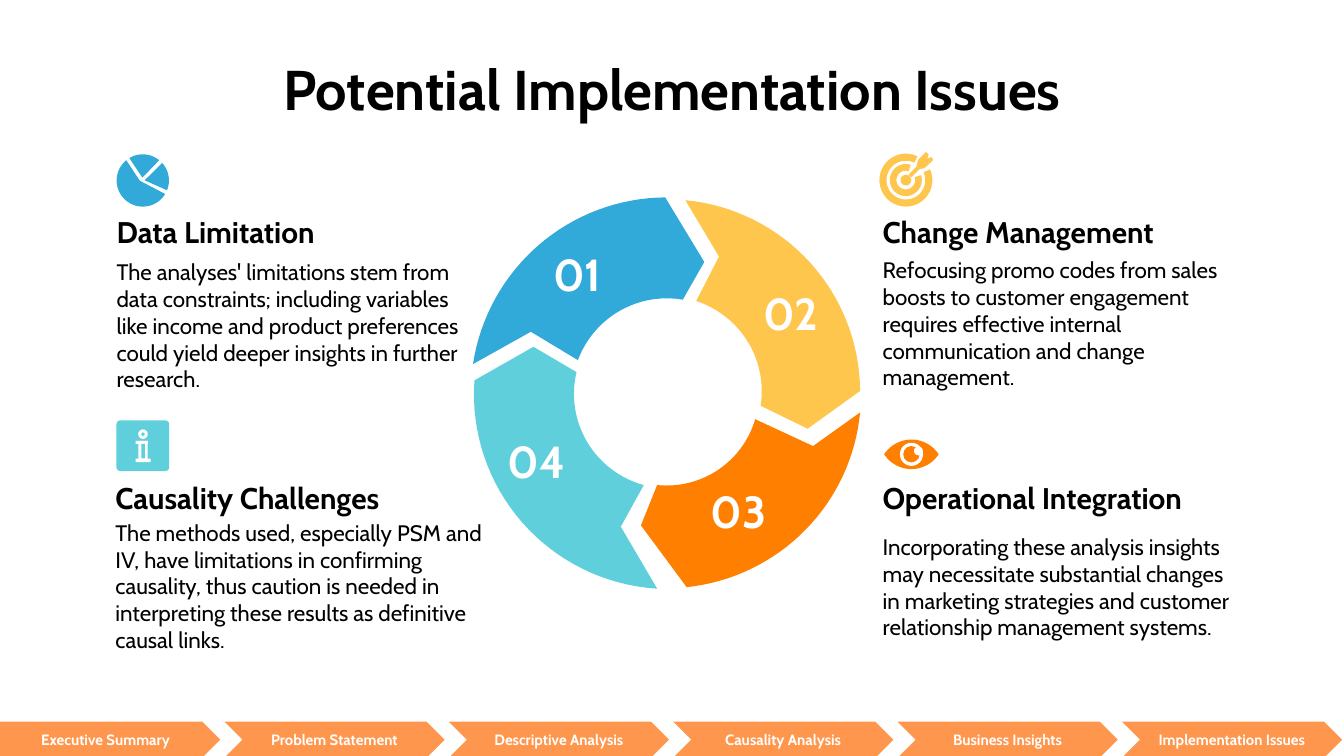
"""Build the slide on potential implementation issues."""
from math import atan2, cos, hypot, radians, sin

from pptx import Presentation
from pptx.dml.color import RGBColor
from pptx.enum.shapes import MSO_SHAPE as Preset
from pptx.enum.text import MSO_ANCHOR as Anchor, PP_ALIGN as Align
from pptx.util import Pt

BLACK = RGBColor(0x00, 0x00, 0x00)
WHITE = RGBColor(0xFF, 0xFF, 0xFF)
BLUE = RGBColor(0x32, 0xAA, 0xD9)
YELLOW = RGBColor(0xFF, 0xC6, 0x4E)
ORANGE = RGBColor(0xFF, 0x80, 0x01)
TEAL = RGBColor(0x5F, 0xD0, 0xDB)
PEACH = RGBColor(0xFF, 0x96, 0x4D)

TITLE = "Potential Implementation Issues"
ISSUES = [
    ("Data Limitation", (55.4, 113, 154, 22.3),
     "The analyses' limitations stem from data constraints; including variables like income "
     "and product preferences could yield deeper insights in further research.",
     (55.4, 136.4, 201.6, 75.6)),
    ("Change Management", (465.8, 113, 221, 22.3),
     "Refocusing promo codes from sales boosts to customer engagement requires effective "
     "internal communication and change management.",
     (465.8, 137.5, 213, 71.3)),
    ("Operational Integration", (465.8, 255.6, 244, 22.3),
     "Incorporating these analysis insights may necessitate substantial changes in marketing "
     "strategies and customer relationship management systems.",
     (465.8, 265, 207.4, 98.6)),
    ("Causality Challenges", (54.7, 255.6, 201.6, 22.3),
     "The methods used, especially PSM and IV, have limitations in confirming causality, thus "
     "caution is needed in interpreting these results as definitive causal links.",
     (54.7, 266.4, 214.6, 95)),
]
RING_CENTER = (357.8, 210.4)
RING = [
    ("01", (285.1, 135.4), BLUE, dict(
        outer=[(253.4, 195.1), (356.4, 105.8)], tip=(377.3, 140.4),
        inner=[(365.8, 160.6), (309.6, 193)], notch=(284.4, 177.8))),
    ("02", (399.6, 156.2), YELLOW, dict(
        outer=[(367.2, 107.3), (460.8, 209.5)], tip=(432.7, 229.7),
        inner=[(407.5, 217.4), (373, 161.3)], notch=(385.2, 137.5))),
    ("03", (371.5, 262.1), ORANGE, dict(
        outer=[(460.8, 221), (367.9, 314.6)], tip=(343.4, 281.5),
        inner=[(352.1, 259.9), (404.6, 224.6)], notch=(435.6, 239))),
    ("04", (263.5, 235.4), TEAL, dict(
        outer=[(352.1, 315.4), (254.2, 203.8)], tip=(285.8, 185.8),
        inner=[(308.9, 199.4), (344.9, 259.9)], notch=(332.6, 282.2))),
]
PIE_CENTER, PIE_RADIUS = (76.5, 96.7), 14
PIE = [((74.9, 96.8), 31, 231), ((76.3, 95.2), 239, 309), ((77.5, 96.6), 318, 382)]
TARGET_CENTER = (485.3, 96.5)
TARGET_RINGS = [(14.2, 10.4, -24, 296), (8.6, 5, -18, 288)]
DART = [(496.1, 81.4), (491.8, 85.7), (491, 89.3), (486.7, 93.6), (488.2, 95), (492.5, 90.7),
        (495.4, 90), (500, 85.7), (499, 84.2), (496.8, 85), (497.5, 82.8)]
EYE_X, EYE_Y = 488.3, 243.4
EYE_DISCS = [(EYE_X, EYE_Y, 6.2, WHITE), (EYE_X, EYE_Y, 4.4, ORANGE), (492, 241.6, 2.4, WHITE)]
INFO_DISCS = [(76.6, 232.6, 2.6, WHITE), (76.6, 232.6, 0.9, TEAL)]
INFO_BARS = [((74.2, 236.2, 5, 11), WHITE), ((72.7, 236.2, 6.5, 1.7), WHITE),
             ((72.7, 245.7, 8, 1.9), WHITE), ((75.8, 237.8, 1.8, 7.8), TEAL)]
STEPS = ["Executive Summary", "Problem Statement", "Descriptive Analysis",
         "Causality Analysis", "Business Insights", "Implementation Issues"]
STEP_PITCH, STEP_TOP, STEP_WIDTH, STEP_HEIGHT = 120.2, 386.6, 118, 19.4

presentation = Presentation()
presentation.slide_width, presentation.slide_height = Pt(720), Pt(405)
slide = presentation.slides.add_slide(presentation.slide_layouts[6])


def paint(shape, color):
    shape.shadow.inherit = False
    shape.fill.solid()
    shape.fill.fore_color.rgb = color
    shape.line.fill.background()
    return shape


def add_preset(kind, box, color):
    return paint(slide.shapes.add_shape(kind, *map(Pt, box)), color)


def add_disc(x, y, radius, color):
    add_preset(Preset.OVAL, (x - radius, y - radius, 2 * radius, 2 * radius), color)


def add_outline(points, color):
    first, *rest = [(Pt(x), Pt(y)) for x, y in points]
    builder = slide.shapes.build_freeform(*first)
    builder.add_line_segments(rest, close=True)
    paint(builder.convert_to_shape(), color)


def arc(center, radius, start, end, end_radius=None, count=32):
    end_radius = end_radius or radius
    points = []
    for index in range(count + 1):
        share = index / count
        angle = radians(start + (end - start) * share)
        reach = radius + (end_radius - radius) * share
        points.append((center[0] + reach * cos(angle), center[1] + reach * sin(angle)))
    return points


def arc_between(center, first, last, clockwise):
    (x1, y1), (x2, y2) = [(x - center[0], y - center[1]) for x, y in (first, last)]
    start = atan2(y1, x1) / radians(1)
    sweep = (atan2(y2, x2) / radians(1) - start) % 360
    if not clockwise:
        sweep -= 360
    return arc(center, hypot(x1, y1), start, start + sweep, hypot(x2, y2))


def write(shape, text, size, color=BLACK, bold=False, align=Align.LEFT):
    frame = shape.text_frame
    frame.word_wrap = True
    frame.vertical_anchor = Anchor.MIDDLE
    frame.margin_left = frame.margin_right = Pt(7.2)
    frame.margin_top = frame.margin_bottom = Pt(7.2)
    paragraph = frame.paragraphs[0]
    paragraph.alignment = align
    run = paragraph.add_run()
    run.text = text
    run.font.name, run.font.size, run.font.bold = "Cabin", Pt(size), bold
    run.font.color.rgb = color


def add_text(box, *args, **style):
    write(slide.shapes.add_textbox(*map(Pt, box)), *args, **style)


add_text((36, 28.1, 648, 38.2), TITLE, 30, bold=True, align=Align.CENTER)
for heading, heading_box, body, body_box in ISSUES:
    add_text(heading_box, heading, 16, bold=True)
    add_text(body_box, body, 12)

for number, (left, top), color, edge in RING:
    add_outline(arc_between(RING_CENTER, *edge["outer"], True) + [edge["tip"]]
                + arc_between(RING_CENTER, *edge["inner"], False) + [edge["notch"]], color)
    add_text((left, top, 48.2, 22.3), number, 24, WHITE, True, Align.CENTER)

for apex, start, end in PIE:
    add_outline([apex] + arc(PIE_CENTER, PIE_RADIUS, start, end), BLUE)

for outer, inner, start, end in TARGET_RINGS:
    add_outline(arc(TARGET_CENTER, outer, start, end)
                + arc(TARGET_CENTER, inner, end, start), YELLOW)
add_disc(*TARGET_CENTER, 2.9, YELLOW)
add_outline(DART, YELLOW)

add_outline(arc((EYE_X, EYE_Y + 9.5), 17.4, 213, 327)
            + arc((EYE_X, EYE_Y - 9.5), 17.4, 33, 147), ORANGE)
for disc in EYE_DISCS:
    add_disc(*disc)

tile = add_preset(Preset.ROUNDED_RECTANGLE, (62.4, 225.2, 28.3, 27.2), TEAL)
tile.adjustments[0] = 0.08
for disc in INFO_DISCS:
    add_disc(*disc)
for box, color in INFO_BARS:
    add_preset(Preset.RECTANGLE, box, color)

for index, label in enumerate(STEPS):
    kind = Preset.CHEVRON if index else Preset.PENTAGON
    step = add_preset(kind, (index * STEP_PITCH, STEP_TOP, STEP_WIDTH, STEP_HEIGHT), PEACH)
    write(step, label, 8, WHITE, True, Align.CENTER)

presentation.save("out.pptx")
